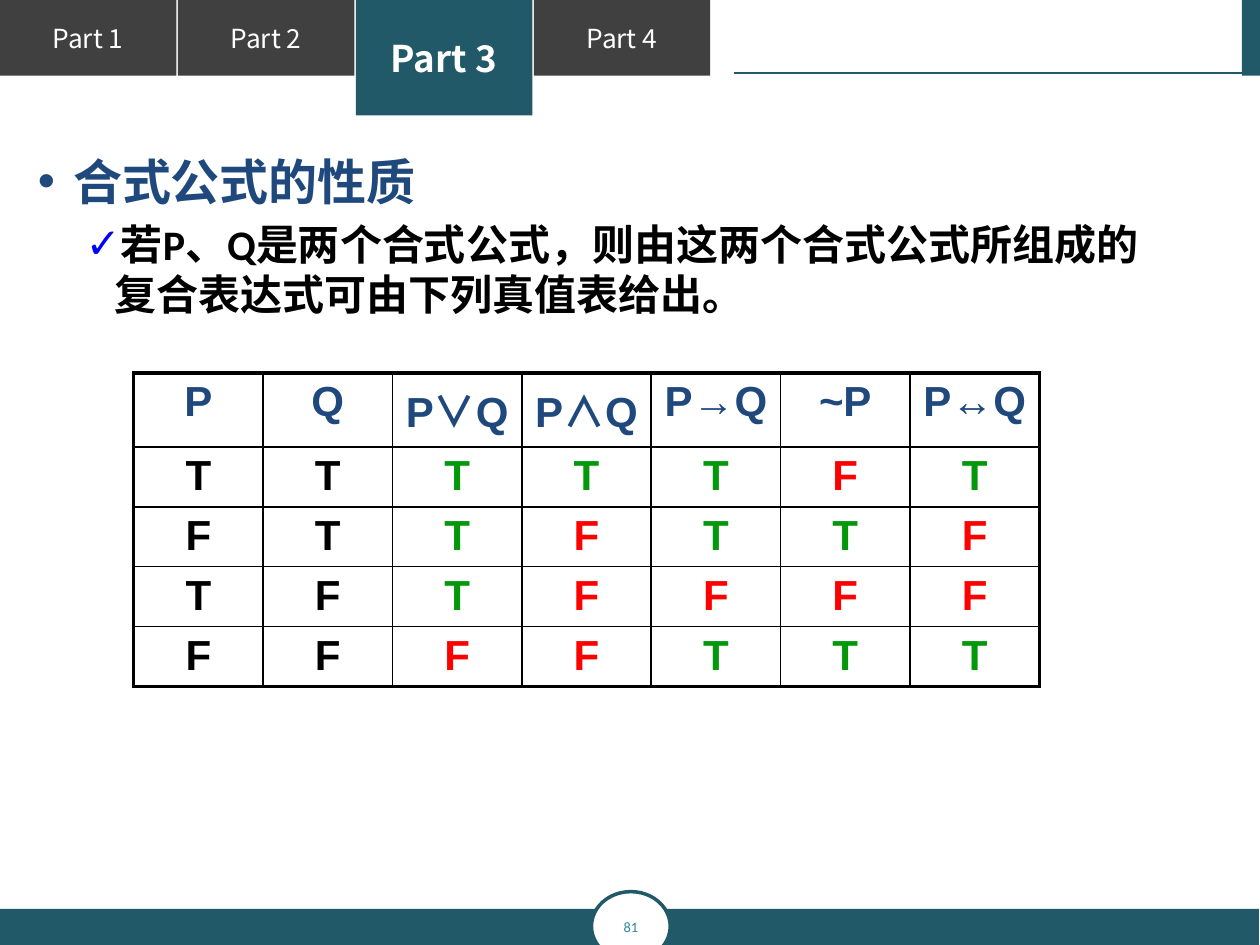
from dataclasses import dataclass
from lxml import etree
from pptx import Presentation
from pptx.dml.color import RGBColor
from pptx.enum.shapes import MSO_CONNECTOR, MSO_SHAPE
from pptx.enum.text import MSO_ANCHOR, PP_ALIGN
from pptx.oxml.ns import qn
from pptx.util import Pt

RECTANGLE, OVAL = MSO_SHAPE.RECTANGLE, MSO_SHAPE.OVAL
STRAIGHT = MSO_CONNECTOR.STRAIGHT
CENTER = PP_ALIGN.CENTER
MIDDLE, TOP = MSO_ANCHOR.MIDDLE, MSO_ANCHOR.TOP


@dataclass(frozen=True)
class Theme:
    teal: str = "215968"
    gray: str = "404040"
    white: str = "FFFFFF"
    black: str = "000000"
    navy: str = "1F497D"
    blue: str = "0000FF"
    green: str = "029809"
    red: str = "FF0000"
    number: str = "31859C"
    cjk: str = "Noto Sans CJK SC"
    latin: str = "Calibri"
    grid: str = "Arial"
    tab_size: float = 15
    active_size: float = 21
    heading_size: float = 28
    text_size: float = 24
    number_size: float = 8.2


class SlideBuilder:
    def __init__(self, slide, theme):
        self.slide = slide
        self.theme = theme

    def run(self, paragraph, text, size, color, face, bold=False, east=None):
        run = paragraph.add_run()
        run.text = text
        run.font.size = Pt(size)
        run.font.bold = bold
        run.font.color.rgb = RGBColor.from_string(color)
        run.font.name = face
        latin = run.font._element.find(qn("a:latin"))
        east_face = etree.Element(qn("a:ea"), typeface=east or face)
        latin.addnext(east_face)

    def shape(self, kind, box, fill, outline=None):
        shape = self.slide.shapes.add_shape(kind, *map(Pt, box))
        shape.shadow.inherit = False
        shape.fill.solid()
        shape.fill.fore_color.rgb = RGBColor.from_string(fill)
        if outline:
            shape.line.color.rgb = RGBColor.from_string(outline)
            shape.line.width = Pt(2)
        else:
            shape.line.fill.background()
        return shape

    def label(self, shape, text, size, color, face, bold=False):
        shape.text_frame.vertical_anchor = MIDDLE
        paragraph = shape.text_frame.paragraphs[0]
        paragraph.alignment = CENTER
        self.run(paragraph, text, size, color, face, bold)

    def rule(self, start, end, color, width):
        rule = self.slide.shapes.add_connector(STRAIGHT, *map(Pt, start + end))
        rule.line.color.rgb = RGBColor.from_string(color)
        rule.line.width = Pt(width)
        etree.SubElement(rule._element.spPr, qn("a:effectLst"))

    def bullet(self, paragraph, mark, color, margin, hanging):
        properties = paragraph._p.get_or_add_pPr()
        properties.set("marL", str(Pt(margin)))
        properties.set("indent", str(-Pt(hanging)))
        tint = etree.SubElement(properties, qn("a:buClr"))
        etree.SubElement(tint, qn("a:srgbClr"), val=color)
        etree.SubElement(properties, qn("a:buFont"), typeface=self.theme.grid)
        etree.SubElement(properties, qn("a:buChar"), char=mark)

    def body(self, box, heading, statement):
        theme = self.theme
        body = self.slide.placeholders[1]
        body.left, body.top, body.width, body.height = map(Pt, box)
        frame = body.text_frame
        first = frame.paragraphs[0]
        self.bullet(first, "•", theme.navy, 20.2, 20.2)
        first.space_before = Pt(0)
        self.run(first, heading, theme.heading_size, theme.navy, theme.cjk, True)
        second = frame.add_paragraph()
        second.level = 1
        self.bullet(second, "✓", theme.blue, 43.9, 16.6)
        second.space_before = Pt(4.8)
        self.run(second, statement, theme.text_size, theme.black,
                 theme.latin, True, theme.cjk)

    def border(self, cell, side, width):
        line = etree.SubElement(cell._tc.get_or_add_tcPr(), qn(f"a:ln{side}"),
                                w=str(Pt(width)))
        fill = etree.SubElement(line, qn("a:solidFill"))
        etree.SubElement(fill, qn("a:srgbClr"), val=self.theme.black)

    def cell_color(self, row, column, text):
        if row == 0:
            return self.theme.navy
        if column < 2:
            return self.theme.black
        return self.theme.green if text == "T" else self.theme.red

    def truth_table(self, left, top, column_width, heights, rows):
        theme = self.theme
        last_row, last_column = len(rows) - 1, len(rows[0]) - 1
        table = self.slide.shapes.add_table(
            len(rows), len(rows[0]), Pt(left), Pt(top),
            Pt(column_width * len(rows[0])), Pt(sum(heights))).table
        table.first_row = table.horz_banding = False
        for column in table.columns:
            column.width = Pt(column_width)
        for r, values in enumerate(rows):
            table.rows[r].height = Pt(heights[r])
            for c, value in enumerate(values):
                cell = table.cell(r, c)
                outer_sides = {"L": c == 0, "R": c == last_column,
                               "T": r == 0, "B": r == last_row}
                for side, outer in outer_sides.items():
                    self.border(cell, side, 2.25 if outer else 1)
                cell.fill.background()
                cell.vertical_anchor = TOP
                cell.margin_left = cell.margin_right = Pt(3.6)
                cell.margin_top = cell.margin_bottom = Pt(3.3)
                paragraph = cell.text_frame.paragraphs[0]
                paragraph.alignment = CENTER
                color = self.cell_color(r, c, value)
                parts = value if any(s in value for s in "∨∧") else [value]
                for part in parts:
                    face = theme.cjk if part in "∨∧" else theme.grid
                    self.run(paragraph, part, theme.text_size, color, face, True)


def main():
    theme = Theme()
    deck = Presentation()
    deck.slide_width, deck.slide_height = Pt(720), Pt(540)
    slide = deck.slides.add_slide(deck.slide_layouts[1])
    title = slide.shapes.title._element
    title.getparent().remove(title)
    builder = SlideBuilder(slide, theme)

    active_part = 3
    for part in range(1, 5):
        active = part == active_part
        tab = builder.shape(RECTANGLE,
                            ((part - 1) * 101.7, 0, 100.8, 66 if active else 43.2),
                            theme.teal if active else theme.gray)
        builder.label(tab, f"Part {part}",
                      theme.active_size if active else theme.tab_size,
                      theme.white, theme.cjk, active)
    builder.shape(RECTANGLE, (709.6, 0, 10.4, 43.2), theme.teal)
    builder.shape(RECTANGLE, (0, 519.4, 719.4, 20.6), theme.teal)
    badge = builder.shape(OVAL, (338, 509.5, 45, 39.6), theme.white, theme.teal)
    builder.label(badge, "81", theme.number_size, theme.number, theme.latin)
    builder.rule((715, 41.8), (419.6, 41.8), theme.teal, 0.75)

    builder.body((14.4, 82.8, 648, 356.4), "合式公式的性质",
                 "若P、Q是两个合式公式，则由这两个合式公式所组成的复合表达式可由下列真值表给出。")
    builder.truth_table(76.4, 213.2, 73.95, [42.2] + [34.25] * 4, [
        ["P", "Q", "P∨Q", "P∧Q", "P→Q", "~P", "P↔Q"],
        *map(list, ("TTTTTFT", "FTTFTTF", "TFTFFFF", "FFFFTTT")),
    ])
    deck.save("out.pptx")


if __name__ == "__main__":
    main()
